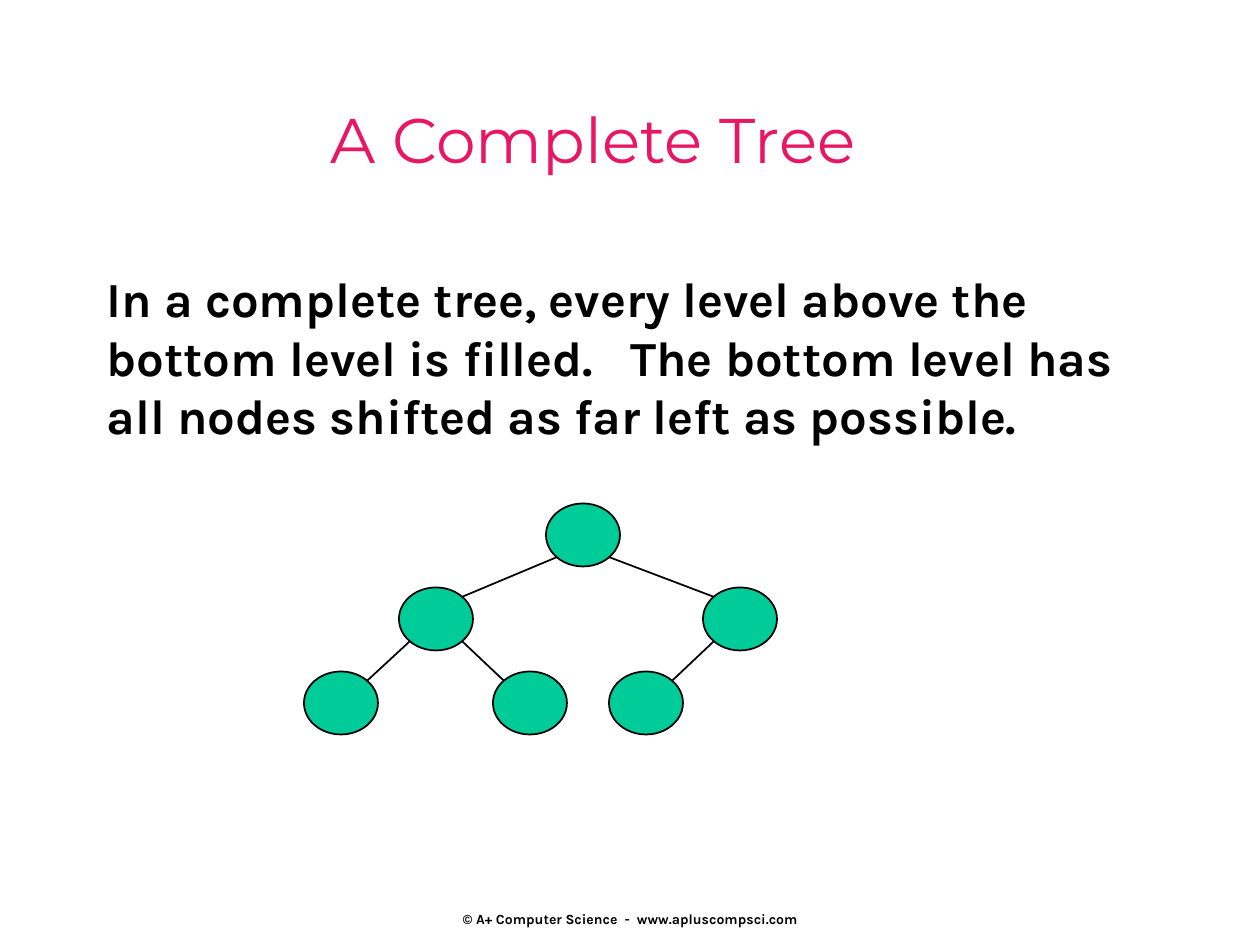
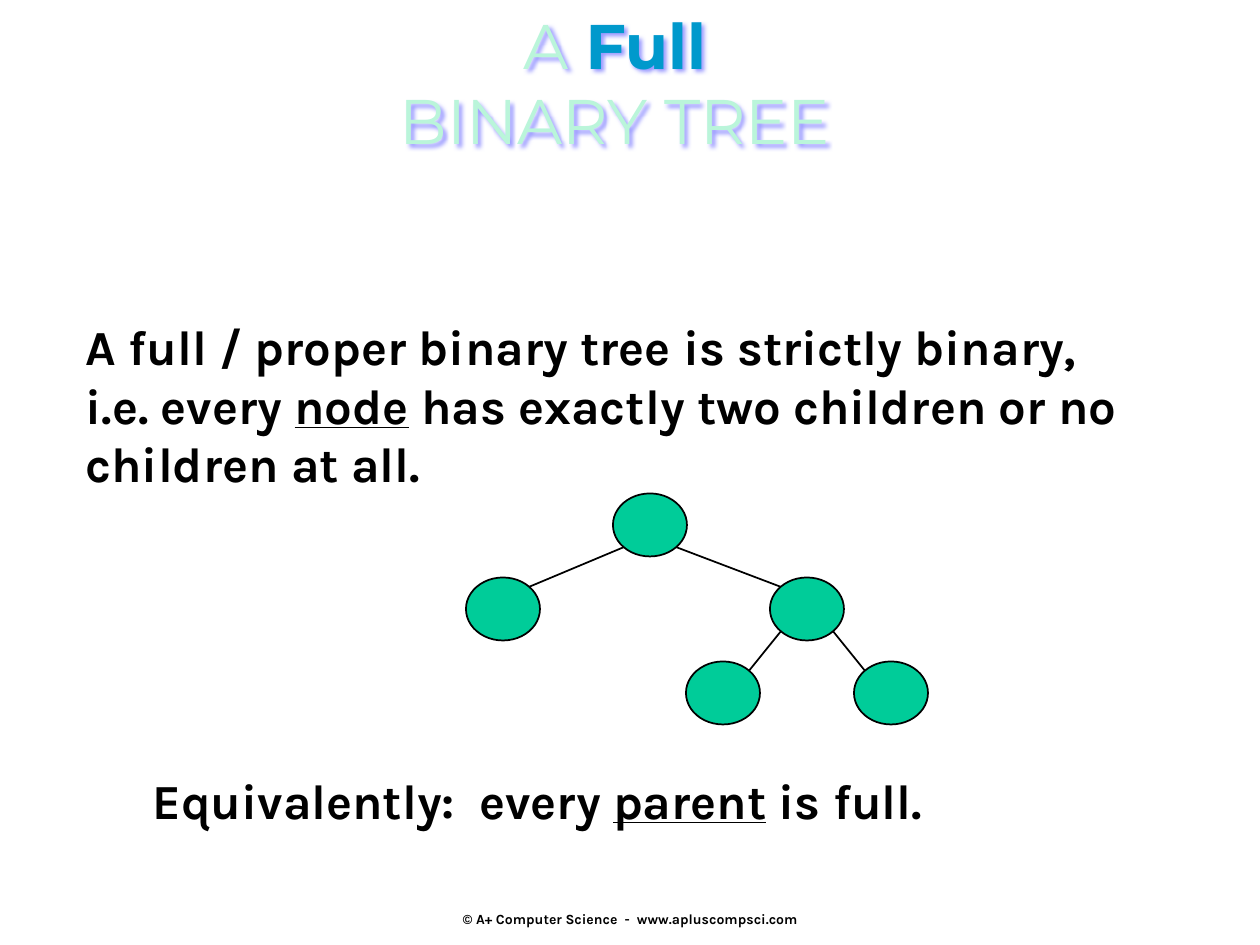
from dataclasses import dataclass
from typing import NamedTuple

from lxml import etree
from pptx import Presentation
from pptx import util as u
from pptx.dml.color import RGBColor
from pptx.enum import shapes, text
from pptx.oxml.ns import qn

EMU_PER_PX = 914400 / 126


def px(length: float) -> u.Emu:
    return u.Emu(round(length * EMU_PER_PX))


# Shared look
@dataclass(frozen=True)
class Theme:
    title_font: str = "Montserrat"
    body_font: str = "Karla"
    title_size: int = 36
    body_size: int = 28
    footer_size: int = 8
    ink: str = "000000"
    pink: str = "E81766"
    mint: str = "BAF5DA"
    blue: str = "0099CC"
    glow: str = "9999FF"
    node: str = "00CC99"
    line_width: int = 1


THEME = Theme()
FOOTER = "© A+ Computer Science  -  www.apluscompsci.com"


class Box(NamedTuple):
    left: int
    top: int
    width: int
    height: int


class Piece(NamedTuple):
    words: str
    color: str = THEME.ink
    bold: bool = True
    underline: bool = False
    tracking: int = 0  # extra width after each letter, in points


class Style(NamedTuple):
    font: str
    size: int
    align: text.PP_ALIGN
    wrap: bool


TITLE = Style(THEME.title_font, THEME.title_size, text.PP_ALIGN.CENTER, False)
BODY = Style(THEME.body_font, THEME.body_size, text.PP_ALIGN.LEFT, True)
SMALL = Style(THEME.body_font, THEME.footer_size, text.PP_ALIGN.CENTER, False)

Lines = list[list[Piece]]


@dataclass(frozen=True)
class Tree:
    """Node centres by heap number: node n has children 2n and 2n + 1."""
    root_y: int
    centers_x: dict[int, int]
    level_gap: int = 84
    node_width: int = 74
    node_height: int = 63

    def center(self, number: int) -> tuple[int, int]:
        level = number.bit_length() - 1
        return self.centers_x[number], self.root_y + level * self.level_gap


@dataclass(frozen=True)
class Topic:
    title: Lines
    title_box: Box
    definition: Lines
    definition_box: Box
    tree: Tree
    title_shadow: bool = False
    remark: Lines | None = None


REMARK_BOX = Box(140, 764, 1092, 72)
FOOTER_BOX = Box(431, 864, 399, 63)

TOPICS = [
    Topic(
        title=[[Piece("A Complete Tree", THEME.pink, bold=False)]],
        title_box=Box(168, 94, 850, 126),
        definition=[[
            Piece("In a complete tree, every level above the bottom level is filled."),
            Piece(" ", tracking=14),
            Piece("The bottom level has all nodes shifted as far left as possible."),
        ]],
        definition_box=Box(94, 262, 1092, 190),
        tree=Tree(535, {1: 583, 2: 436, 3: 740, 4: 341, 5: 530, 6: 646}),
    ),
    Topic(
        title=[
            [Piece("A ", THEME.mint, bold=False), Piece("Full", THEME.blue)],
            [Piece("BINARY TREE", THEME.mint, bold=False)],
        ],
        title_box=Box(179, 0, 872, 252),
        title_shadow=True,
        definition=[[
            Piece("A full / proper binary tree is strictly binary,\vi.e. every "),
            Piece("node", underline=True),
            Piece(" has exactly two children or no children at all."),
        ]],
        definition_box=Box(73, 310, 1103, 190),
        tree=Tree(525, {1: 650, 2: 503, 3: 807, 6: 723, 7: 891}),
        remark=[[
            Piece("Equivalently:"),
            Piece(" ", tracking=7),
            Piece("every "),
            Piece("parent", underline=True),
            Piece(" is full."),
        ]],
    ),
]


# Text
def add_piece(paragraph, piece: Piece, style: Style) -> None:
    for index, part in enumerate(piece.words.split("\v")):
        if index:
            paragraph.add_line_break()
        run = paragraph.add_run()
        run.text = part
        font = run.font
        font.name, font.size = style.font, u.Pt(style.size)
        font.bold, font.underline = piece.bold, piece.underline
        font.color.rgb = RGBColor.from_string(piece.color)
        if piece.tracking:
            run.font._element.set("spc", str(piece.tracking * 100))


def write(shape, box: Box, lines: Lines, style: Style) -> None:
    shape.left, shape.top, shape.width, shape.height = map(px, box)
    frame = shape.text_frame
    frame.word_wrap = style.wrap
    frame.auto_size = text.MSO_AUTO_SIZE.NONE
    frame.vertical_anchor = text.MSO_ANCHOR.TOP
    for index, pieces in enumerate(lines):
        paragraph = frame.add_paragraph() if index else frame.paragraphs[0]
        properties = paragraph._p.get_or_add_pPr()
        properties.set("marL", "0")
        properties.set("indent", "0")
        etree.SubElement(properties, qn("a:buNone"))
        paragraph.alignment = style.align
        paragraph.space_before = u.Pt(0)
        for piece in pieces:
            add_piece(paragraph, piece, style)


def add_text(slide, box: Box, lines: Lines, style: Style):
    textbox = slide.shapes.add_textbox(*map(px, box))
    write(textbox, box, lines, style)
    return textbox


def add_letter_shadow(title) -> None:
    title.fill.background()
    title.shadow.inherit = False
    effects = title.element.spPr.find(qn("a:effectLst"))
    shadow = etree.SubElement(effects, qn("a:outerShdw"), blurRad=str(px(4)),
                              dist=str(px(3)), dir="2700000", algn="tl")
    etree.SubElement(shadow, qn("a:srgbClr"), val=THEME.glow)


# Tree diagram
def add_node(group, tree: Tree, number: int) -> None:
    x, y = tree.center(number)
    node = group.shapes.add_shape(
        shapes.MSO_SHAPE.OVAL, px(x - tree.node_width / 2), px(y - tree.node_height / 2),
        px(tree.node_width), px(tree.node_height))
    node.shadow.inherit = False
    node.fill.solid()
    node.fill.fore_color.rgb = RGBColor.from_string(THEME.node)
    node.line.color.rgb = RGBColor.from_string(THEME.ink)
    node.line.width = u.Pt(THEME.line_width)


def add_branch(group, tree: Tree, child: int) -> None:
    """Join the diagonal points of the parent's and child's outlines."""
    side = 1 if child % 2 else -1
    dx = side * tree.node_width * 0.35
    dy = tree.node_height * 0.35
    parent_x, parent_y = tree.center(child // 2)
    child_x, child_y = tree.center(child)
    branch = group.shapes.add_connector(
        shapes.MSO_CONNECTOR.STRAIGHT, px(parent_x + dx), px(parent_y + dy),
        px(child_x - dx), px(child_y - dy))
    branch.line.color.rgb = RGBColor.from_string(THEME.ink)
    branch.line.width = u.Pt(THEME.line_width)
    etree.SubElement(branch._element.spPr, qn("a:effectLst"))


def add_tree(slide, tree: Tree) -> None:
    group = slide.shapes.add_group_shape()
    for number in tree.centers_x:
        add_node(group, tree, number)
    for number in tree.centers_x:
        if number > 1:
            add_branch(group, tree, number)


# Slides
def add_footer(slide) -> None:
    footer = add_text(slide, FOOTER_BOX, [[Piece(FOOTER)]], SMALL)
    footer.text_frame.vertical_anchor = text.MSO_ANCHOR.BOTTOM
    footer.text_frame.margin_bottom = 0


def add_topic(deck, topic: Topic) -> None:
    slide = deck.slides.add_slide(deck.slide_layouts[1])
    title, definition = slide.placeholders
    write(title, topic.title_box, topic.title, TITLE)
    if topic.title_shadow:
        add_letter_shadow(title)
    write(definition, topic.definition_box, topic.definition, BODY)
    add_tree(slide, topic.tree)
    if topic.remark:
        add_text(slide, REMARK_BOX, topic.remark, BODY)
    add_footer(slide)


def main() -> None:
    deck = Presentation()
    deck.slide_width, deck.slide_height = px(1260), px(945)
    for topic in TOPICS:
        add_topic(deck, topic)
    deck.save("out.pptx")


if __name__ == "__main__":
    main()
